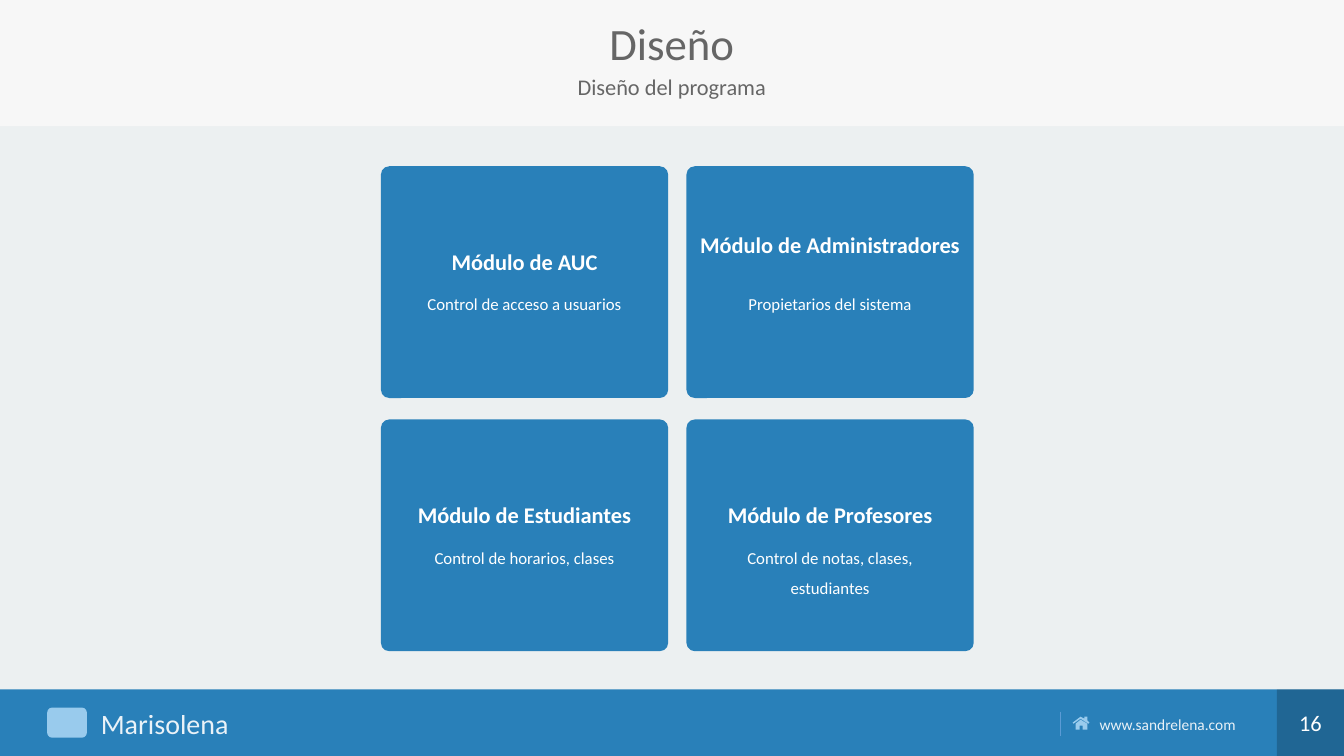
from lxml import etree
from pptx import Presentation
from pptx.dml.color import RGBColor
from pptx.enum import shapes, text
from pptx.oxml.ns import qn
from pptx.util import Cm, Pt

FONT = "Calibri"
BLUE, PALE_BLUE, WHITE, GREY = "2980B9", "99CBED", "FFFFFF", "666666"
CENTER = text.PP_ALIGN.CENTER

# Card heading, description and heading offset, row by row
MODULES = [
    [("Módulo de AUC", "Control de acceso a usuarios", 2.06),
     ("Módulo de Administradores", "Propietarios del sistema", 1.63)],
    [("Módulo de Estudiantes", "Control de horarios, clases", 2.06),
     ("Módulo de Profesores", "Control de notas, clases, estudiantes", 2.06)],
]

# House outline in steps of a fortieth of a centimetre
ROOF = [(16, 7), (8, 2), (1, 7), (0, 6), (8, 0), (12, 2), (12, 0), (15, 0), (15, 4), (17, 6)]
WALLS = [(15, 13), (10, 13), (10, 9), (7, 9), (7, 13), (3, 13), (3, 7), (8, 3), (15, 7)]


def rgb(value):
    return RGBColor.from_string(value)


def set_opacity(element, percent):
    for color in element.iter(qn("a:srgbClr")):
        etree.SubElement(color, qn("a:alpha")).set("val", str(percent * 1000))


def paint(shape, color):
    shape.shadow.inherit = False
    shape.fill.solid()
    shape.fill.fore_color.rgb = rgb(color)
    shape.line.fill.background()
    return shape


def add_block(slide, kind, left, top, width, height, color):
    block = slide.shapes.add_shape(kind, Cm(left), Cm(top), Cm(width), Cm(height))
    return paint(block, color)


def write(shape, words, size, color, align=CENTER, spacing=1.0, bold=False,
          inset=0, anchor=text.MSO_ANCHOR.TOP, wrap=True):
    frame = shape.text_frame
    frame.text = words
    frame.word_wrap = wrap
    frame.auto_size = text.MSO_AUTO_SIZE.NONE
    frame.vertical_anchor = anchor
    frame.margin_left = frame.margin_right = Cm(inset)
    frame.margin_top = frame.margin_bottom = 0
    paragraph = frame.paragraphs[0]
    paragraph.alignment = align
    paragraph.line_spacing = spacing
    paragraph.space_before = Pt(0)
    font = paragraph.runs[0].font
    font.name, font.size, font.bold = FONT, Pt(size), bold
    font.color.rgb = rgb(color)


def add_label(slide, left, top, width, height, words, size, color, **style):
    label = slide.shapes.add_textbox(Cm(left), Cm(top), Cm(width), Cm(height))
    write(label, words, size, color, **style)
    return label


def fill_placeholder(holder, top, height, words, size):
    holder.left, holder.top = Cm(1.27), Cm(top)
    holder.width, holder.height = Cm(31.32), Cm(height)
    write(holder, words, size, GREY, spacing=0.9)


def add_header(slide):
    title, subtitle = slide.placeholders
    fill_placeholder(title, 0.56, 1.37, "Diseño", 32)
    fill_placeholder(subtitle, 1.93, 0.69, "Diseño del programa", 16)
    properties = subtitle.text_frame.paragraphs[0]._p.get_or_add_pPr()
    properties.set("marL", "0")
    properties.set("indent", "0")
    etree.SubElement(properties, qn("a:buNone"))


def add_house(slide):
    outline = slide.shapes.build_freeform(*ROOF[0], scale=Cm(1) / 40)
    outline.add_line_segments(ROOF[1:])
    outline.move_to(*WALLS[0])
    outline.add_line_segments(WALLS[1:])
    paint(outline.convert_to_shape(Cm(27.03), Cm(18.06)), PALE_BLUE)


def add_divider(slide, left, top, bottom):
    divider = slide.shapes.add_connector(
        shapes.MSO_CONNECTOR.STRAIGHT, Cm(left), Cm(top), Cm(left), Cm(bottom))
    divider.line.color.rgb = rgb("5B9BD5")
    divider.line.width = Pt(1)
    etree.SubElement(divider._element.spPr, qn("a:effectLst"))


def add_footer(slide):
    rectangle = shapes.MSO_SHAPE.RECTANGLE
    add_block(slide, rectangle, 0, 17.37, 33.87, 1.68, BLUE)
    # Owner's mark and name
    add_block(slide, shapes.MSO_SHAPE.ROUNDED_RECTANGLE, 1.19, 17.83, 1, 0.76, PALE_BLUE)
    owner = add_label(slide, 2.54, 17.81, 4.37, 0.86, "Marisolena", 20, WHITE,
                      align=text.PP_ALIGN.LEFT)
    # Web address
    add_divider(slide, 26.72, 17.93, 18.54)
    add_house(slide)
    address = add_label(slide, 27.71, 18.01, 3.86, 0.48, "www.sandrelena.com", 11, WHITE,
                        align=text.PP_ALIGN.LEFT, wrap=False)
    for label in (owner, address):
        set_opacity(label._element, 90)
    # Page number
    page = add_block(slide, rectangle, 32.18, 17.37, 1.69, 1.68, "000000")
    set_opacity(page._element.spPr, 20)
    write(page, "16", 16, WHITE, anchor=text.MSO_ANCHOR.MIDDLE)


def add_card(slide, left, top, heading, description, heading_offset):
    card = add_block(slide, shapes.MSO_SHAPE.ROUNDED_RECTANGLE, left, top, 7.24, 5.84, BLUE)
    card.adjustments[0] = 0.036
    add_label(slide, left, top + heading_offset, 7.24, 0.71, heading, 16, WHITE, bold=True)
    add_label(slide, left, top + 2.97, 7.24, 2.16, description, 12, WHITE,
              spacing=1.5, inset=0.76)


def main():
    deck = Presentation()
    deck.slide_width, deck.slide_height = Cm(33.87), Cm(19.05)
    slide = deck.slides.add_slide(deck.slide_layouts[1])
    slide.background.fill.solid()
    slide.background.fill.fore_color.rgb = rgb("ECF0F1")

    # Header band, placed behind the title
    band = add_block(slide, shapes.MSO_SHAPE.RECTANGLE, 0, 0, 33.87, 3.18, "F7F7F7")
    slide.shapes._spTree.insert(2, band._element)
    add_header(slide)
    add_footer(slide)

    # Grid of modules
    for row, modules in enumerate(MODULES):
        for column, module in enumerate(modules):
            add_card(slide, 9.6 + 7.7 * column, 4.19 + 6.38 * row, *module)

    deck.save("out.pptx")


if __name__ == "__main__":
    main()
